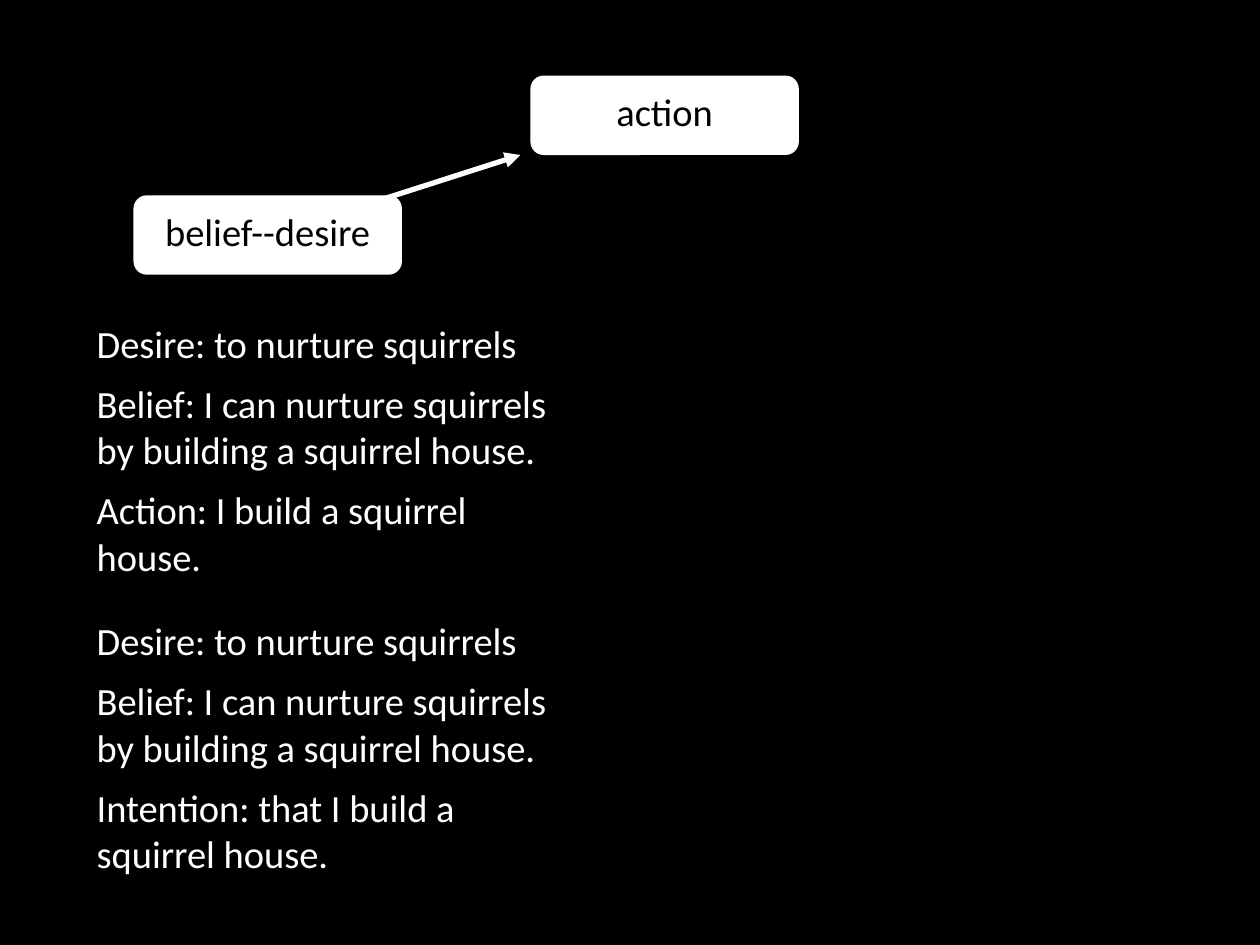
import pptx
import pptx.util
import pptx.dml.color
import pptx.enum.shapes
import pptx.enum.text
import pptx.oxml.ns
import lxml.etree

Pt = pptx.util.Pt
Align = pptx.enum.text.PP_ALIGN

# Content: label, left, top
NODES = [("action", 303.1, 43.2), ("belief--desire", 76.3, 111.6)]
SHARED = [
    "Desire: to nurture squirrels",
    "Belief: I can nurture squirrels by building a squirrel house.",
]
# Top, last line
NOTES = [
    (179.3, "Action: I build a squirrel house."),
    (349.2, "Intention: that I build a squirrel house."),
]
ARROW = (156.2, 133.9, 297.4, 88.6)
COLORS = {"back": "000000", "ink": "FFFFFF", "label": "000000"}
NODE_W, NODE_H = 153.4, 45.4
NOTE_X, NOTE_W, NOTE_H = 48.2, 283.7, 156.2


def paint(fill, name):
    fill.solid()
    fill.fore_color.rgb = pptx.dml.color.RGBColor.from_string(COLORS[name])


def style(para, name):
    for run in para.runs:
        run.font.name = "Calibri"
        run.font.size = Pt(22)
        paint(run.font.fill, name)


def add_arrow(slide):
    line = slide.shapes.add_connector(
        pptx.enum.shapes.MSO_CONNECTOR.STRAIGHT, *map(Pt, ARROW))
    line.line.width = Pt(3)
    paint(line.line.fill, "ink")
    qn = pptx.oxml.ns.qn
    tail = lxml.etree.SubElement(line.line._get_or_add_ln(), qn("a:tailEnd"))
    tail.set("type", "triangle")
    lxml.etree.SubElement(line._element.spPr, qn("a:effectLst"))


def add_node(slide, label, left, top):
    node = slide.shapes.add_shape(
        pptx.enum.shapes.MSO_SHAPE.ROUNDED_RECTANGLE,
        Pt(left), Pt(top), Pt(NODE_W), Pt(NODE_H))
    node.shadow.inherit = False
    paint(node.fill, "ink")
    node.line.fill.background()
    frame = node.text_frame
    frame.vertical_anchor = pptx.enum.text.MSO_ANCHOR.MIDDLE
    frame.margin_bottom = Pt(8)
    frame.text = label
    frame.paragraphs[0].alignment = Align.CENTER
    style(frame.paragraphs[0], "label")


def add_note(slide, top, lines):
    box = slide.shapes.add_textbox(Pt(NOTE_X), Pt(top), Pt(NOTE_W), Pt(NOTE_H))
    frame = box.text_frame
    frame.word_wrap = True
    frame.auto_size = pptx.enum.text.MSO_AUTO_SIZE.SHAPE_TO_FIT_TEXT
    frame.text = "\n".join(lines)
    for para in frame.paragraphs:
        para.space_after = Pt(8)
        style(para, "ink")


def main():
    deck = pptx.Presentation()
    deck.slide_width, deck.slide_height = Pt(720), Pt(540)
    slide = deck.slides.add_slide(deck.slide_layouts[6])
    paint(slide.background.fill, "back")

    # Diagram, with the arrow behind its nodes
    add_arrow(slide)
    for node in NODES:
        add_node(slide, *node)

    # Examples
    for top, last in NOTES:
        add_note(slide, top, SHARED + [last])

    deck.save("out.pptx")


if __name__ == "__main__":
    main()
